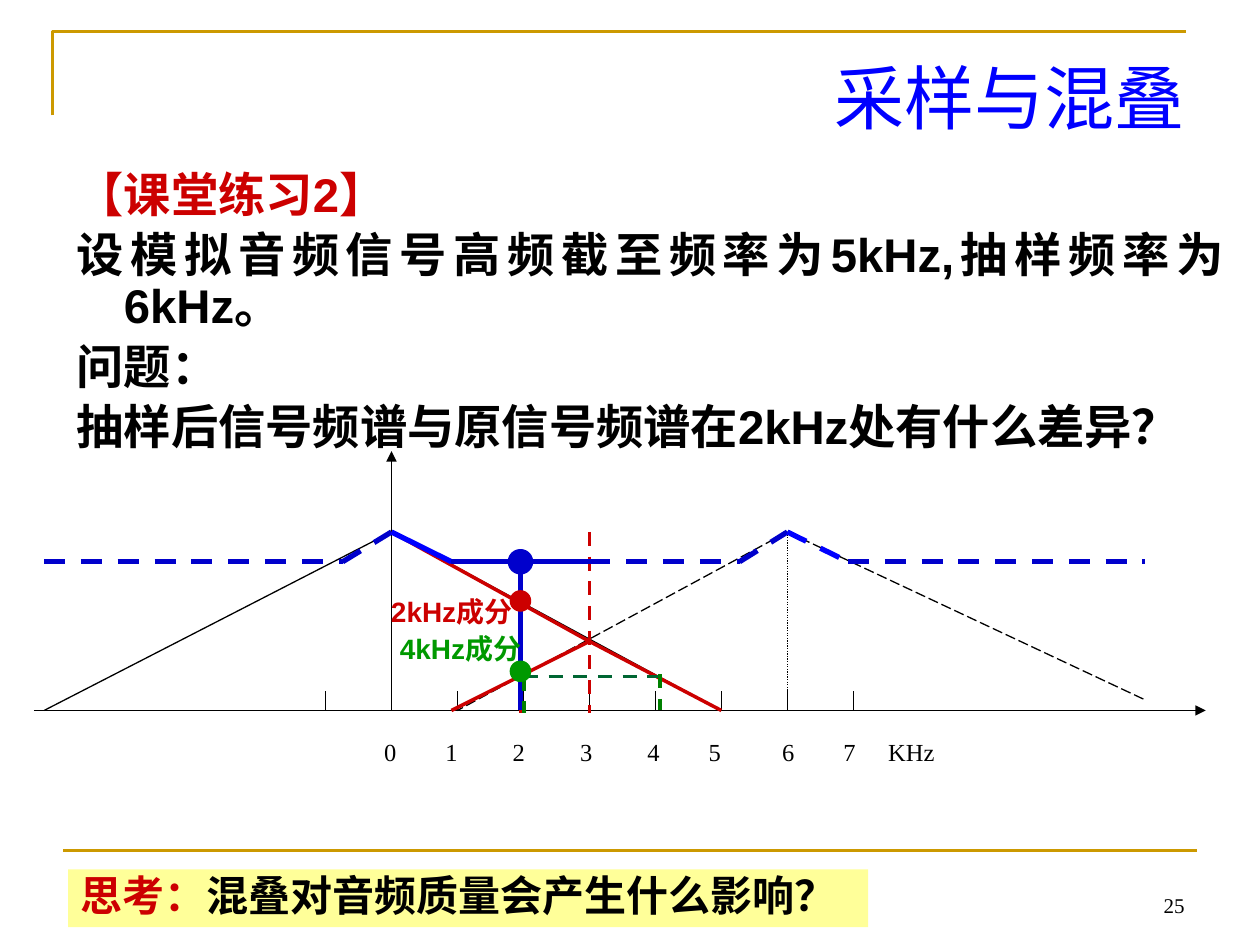
from lxml import etree
from pptx import Presentation
from pptx.dml.color import RGBColor
from pptx.enum.dml import MSO_LINE_DASH_STYLE as DASH
from pptx.enum.shapes import MSO_CONNECTOR, MSO_SHAPE
from pptx.enum.text import MSO_ANCHOR, MSO_AUTO_SIZE, PP_ALIGN as ALIGN
from pptx.oxml.ns import qn
from pptx.util import Pt

color = RGBColor.from_string


def draw_line(x1, y1, x2, y2, hex_color="000000", width=0.75, dash=None, arrow=False):
    line = slide.shapes.add_connector(
        MSO_CONNECTOR.STRAIGHT, Pt(x1), Pt(y1), Pt(x2), Pt(y2))
    line.line.color.rgb = color(hex_color)
    line.line.width = Pt(width)
    if dash:
        line.line.dash_style = dash
    properties = line._element.spPr
    if arrow:
        etree.SubElement(properties.find(qn("a:ln")), qn("a:tailEnd"), type="triangle")
    etree.SubElement(properties, qn("a:effectLst"))


def format_run(run, size, font_name, hex_color, bold=False):
    run.font.size = Pt(size)
    run.font.name = font_name
    run.font.bold = bold
    run.font.color.rgb = color(hex_color)
    if font_name == "Arial":
        etree.SubElement(run._r.get_or_add_rPr(), qn("a:ea"), typeface="Noto Sans CJK SC")


presentation = Presentation()
presentation.slide_width, presentation.slide_height = Pt(720), Pt(540)
slide = presentation.slides.add_slide(presentation.slide_layouts[5])

# Title
title = slide.shapes.title
title.left, title.top, title.width, title.height = Pt(36), Pt(27.4), Pt(648), Pt(61)
title.text_frame.text = "采样与混叠"
title.text_frame.auto_size = MSO_AUTO_SIZE.NONE
title.text_frame.vertical_anchor = MSO_ANCHOR.TOP
title.text_frame.paragraphs[0].alignment = ALIGN.RIGHT
format_run(title.text_frame.paragraphs[0].runs[0], 40, "Noto Sans CJK SC", "0000FF")

# Gold frame corner and footer rule
builder = slide.shapes.build_freeform(Pt(30), Pt(66))
builder.add_line_segments([(Pt(30), Pt(18)), (Pt(678), Pt(18))], close=False)
corner = builder.convert_to_shape()
corner.shadow.inherit = False
corner.fill.background()
corner.line.color.rgb = color("CC9900")
corner.line.width = Pt(1.5)
draw_line(36, 486, 684, 486, "CC9900", 1.5)

# Exercise text
exercise = slide.shapes.add_textbox(Pt(36.7), Pt(94.3), Pt(669.6), Pt(147.6))
exercise.text_frame.word_wrap = True
exercise.text_frame.text = "\n".join([
    "【课堂练习2】",
    "设模拟音频信号高频截至频率为5kHz,抽样频率为6kHz。",
    "问题：",
    "抽样后信号频谱与原信号频谱在2kHz处有什么差异？",
])
for index, paragraph in enumerate(exercise.text_frame.paragraphs):
    paragraph.alignment = ALIGN.JUSTIFY
    paragraph.line_spacing = 0.9
    if index:
        paragraph.space_before = Pt(5.4)
    properties = paragraph._p.get_or_add_pPr()
    properties.set("marL", str(Pt(27)))
    properties.set("indent", str(-Pt(27)))
    format_run(paragraph.runs[0], 27, "Arial", "000000" if index else "CC0000", True)

# Spectrum scale: frequency positions and levels
origin, per_khz = 223.7, 37.7
x = [round(origin + per_khz * khz, 1) for khz in range(8)]
peak, flat, fold, base = 304, 321, 366.5, 406
left_end, right_end, sample = 25.2, 654.5, 297.4
blue, bright_blue, red = "0000CC", "0000FF", "CC0000"

# Axes and ticks
draw_line(19.4, base, 689, base, arrow=True)
draw_line(origin, base, origin, 257.8, arrow=True)
for khz in (-1, 1, 2, 3, 4, 5, 6, 7):
    tick = origin + per_khz * khz
    draw_line(tick, 395, tick, base)

# Original spectrum and its image around 6 kHz
draw_line(origin, peak, left_end, base)
draw_line(origin, peak, x[5], base)
draw_line(x[6], peak, x[6], base, dash=DASH.ROUND_DOT)
draw_line(x[6], peak, x[1], base, dash=DASH.LONG_DASH)
draw_line(x[6], peak, right_end, 400, dash=DASH.LONG_DASH)

# Overlapping slopes and folding frequency
draw_line(x[3], peak, x[3], 407.5, red, 2, DASH.DASH)
draw_line(origin, peak, x[3], fold, red, 2)
draw_line(x[3], fold, x[5], base, red, 2)
draw_line(258, base, x[3], fold, red, 2)
draw_line(sample, 343.4, sample, 407.5, red, 2, DASH.DASH)

# Aliased spectrum
envelope = [
    (left_end, flat, blue, DASH.DASH), (195.8, flat, blue, DASH.DASH),
    (origin, peak, bright_blue, None), (258, flat, blue, None),
    (x[3], flat, blue, DASH.DASH), (422.6, flat, blue, DASH.DASH),
    (x[6], peak, bright_blue, DASH.DASH), (484.6, flat, blue, DASH.DASH),
    (right_end, flat, None, None),
]
for (x1, y1, hex_color, dash), (x2, y2, *_) in zip(envelope, envelope[1:]):
    draw_line(x1, y1, x2, y2, hex_color, 3, dash)
draw_line(sample, base, sample, flat, blue, 3)

# 4 kHz component folded to 2 kHz
draw_line(299.5, 386.6, 299.5, 407.5, "008000", 2, DASH.DASH)
draw_line(299.5, 386.6, 377.3, 386.6, "006633", 2, DASH.DASH)
draw_line(377.3, 385.2, 377.3, base, "008000", 2, DASH.DASH)

# Component labels
label_width, label_height = 84, 22
for text, center, middle, hex_color in [
    ("2kHz成分", 258, 349.6, red),
    ("4kHz成分", 263.1, 370.4, "009900"),
]:
    label = slide.shapes.add_textbox(
        Pt(center - label_width / 2), Pt(middle - label_height / 2),
        Pt(label_width), Pt(label_height))
    frame = label.text_frame
    frame.margin_left = frame.margin_right = frame.margin_top = frame.margin_bottom = 0
    frame.word_wrap = False
    frame.vertical_anchor = MSO_ANCHOR.MIDDLE
    frame.text = text
    frame.paragraphs[0].alignment = ALIGN.CENTER
    format_run(frame.paragraphs[0].runs[0], 16, "Arial", hex_color, True)

# Markers at 2 kHz
for center, hex_color, width in [
    (flat, blue, 3), (343.4, red, 0.75), (383.6, "009900", 0.75),
]:
    marker = slide.shapes.add_shape(
        MSO_SHAPE.OVAL, Pt(sample - 5.8), Pt(center - 5.8), Pt(11.6), Pt(11.6))
    marker.shadow.inherit = False
    marker.fill.solid()
    marker.fill.fore_color.rgb = color(hex_color)
    marker.line.color.rgb = color(hex_color)
    marker.line.width = Pt(width)

# Frequency labels on tab stops
scale = slide.shapes.add_textbox(Pt(212.4), Pt(417.6), Pt(368.6), Pt(34.6))
scale.text_frame.word_wrap = True
paragraph = scale.text_frame.paragraphs[0]
tab_list = etree.SubElement(paragraph._p.get_or_add_pPr(), qn("a:tabLst"))
for stop in (35, 73.5, 112, 150.5, 185.5, 227.5, 262.5, 288):
    etree.SubElement(tab_list, qn("a:tab"), pos=str(Pt(stop)), algn="l")
paragraph.text = "\t".join([*"01234567", "KHz"])
for run in paragraph.runs:
    format_run(run, 14, "Times New Roman", "000000")

# Question for thought
question = slide.shapes.add_shape(MSO_SHAPE.RECTANGLE, Pt(38.9), Pt(496.8), Pt(457.2), Pt(33.1))
question.shadow.inherit = False
question.fill.solid()
question.fill.fore_color.rgb = color("FFFF99")
question.line.fill.background()
question.text_frame.vertical_anchor = MSO_ANCHOR.TOP
paragraph = question.text_frame.paragraphs[0]
paragraph.alignment = ALIGN.LEFT
paragraph.line_spacing = 0.9
for text, hex_color in [("思考：", red), ("混叠对音频质量会产生什么影响？", "000000")]:
    run = paragraph.add_run()
    run.text = text
    format_run(run, 24, "Noto Sans CJK SC", hex_color, True)

# Slide number
number = slide.shapes.add_textbox(Pt(516.2), Pt(491.8), Pt(167.8), Pt(36))
number.text_frame.word_wrap = True
number.text_frame.vertical_anchor = MSO_ANCHOR.BOTTOM
number.text_frame.text = "25"
number.text_frame.paragraphs[0].alignment = ALIGN.RIGHT
format_run(number.text_frame.paragraphs[0].runs[0], 12, "Times New Roman", "000000")

presentation.save("out.pptx")
